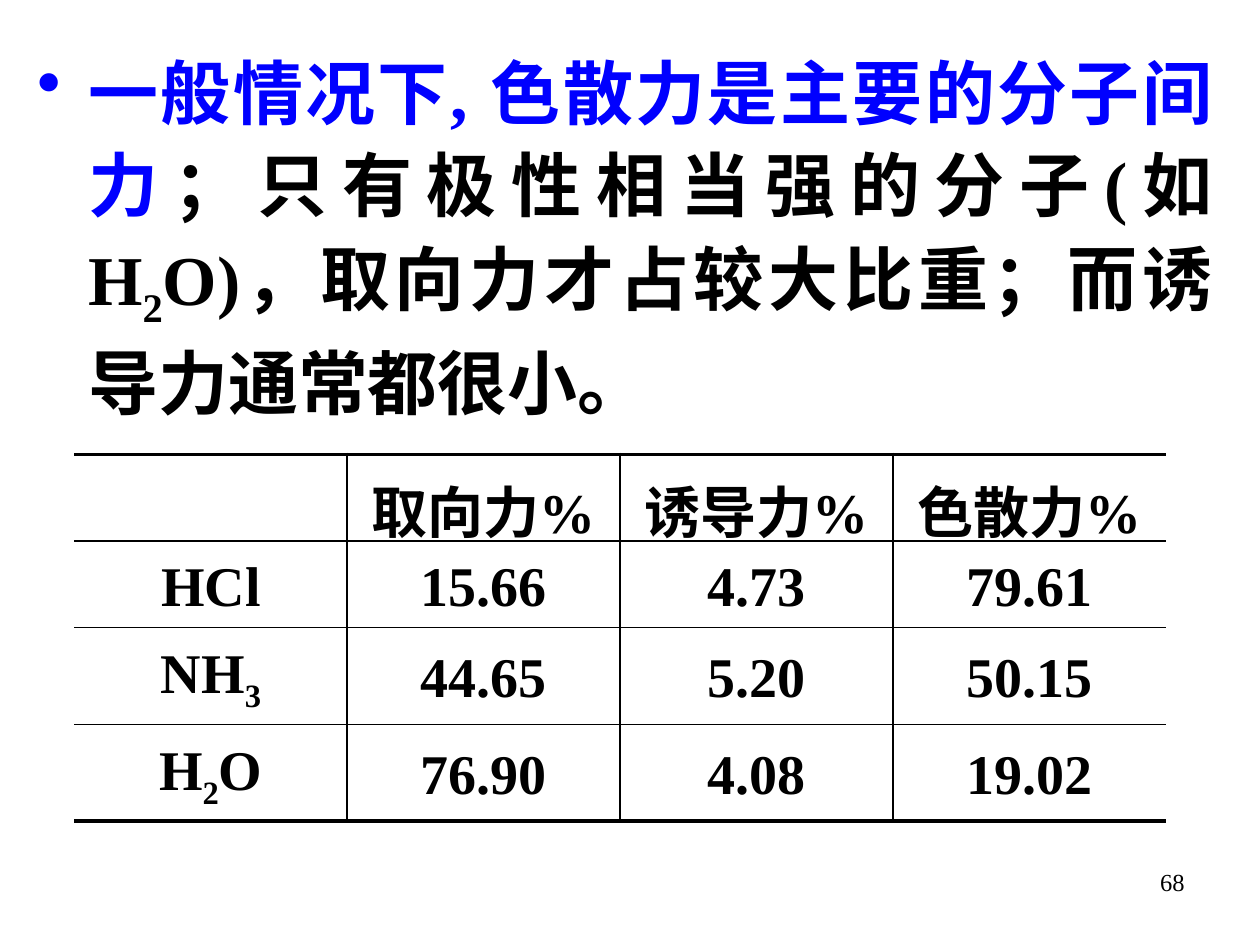
import pptx
import pptx.dml.color
import pptx.enum.text
import pptx.oxml
import pptx.oxml.ns
import pptx.util
from lxml import etree

Cm = pptx.util.Cm
Align = pptx.enum.text.PP_ALIGN
Anchor = pptx.enum.text.MSO_ANCHOR

THEME = {
    "font": "Times New Roman",
    "ink": "000000",
    "accent": "0000FF",
    "body": 40,
    "table": 32,
    "number": 14,
    "thin": 1,
    "thick": 2.25,
    "spacing": 1.1,
}

STATEMENT = [
    ("一般情况下, 色散力是主要的分子间力", "accent", False),
    ("；只有极性相当强的分子(如H", "ink", False),
    ("2", "ink", True),
    ("O)，取向力才占较大比重；而诱导力通常都很小。", "ink", False),
]
FORCES = [
    ["", "取向力%", "诱导力%", "色散力%"],
    ["HCl", "15.66", "4.73", "79.61"],
    ["NH_3", "44.65", "5.20", "50.15"],
    ["H_2O", "76.90", "4.08", "19.02"],
]
PAGE_NUMBER = "68"


def colour(name):
    return pptx.dml.color.RGBColor.from_string(THEME[name])


def style(para, size, align, bold=True):
    para.alignment = align
    para.font.name = THEME["font"]
    para.font.size = pptx.util.Pt(size)
    para.font.bold = bold


def add_span(para, text, tone, lowered=False):
    span = para.add_run()
    span.text = text
    span.font.color.rgb = colour(tone)
    if lowered:
        span._r.get_or_add_rPr().set("baseline", "-25000")


def add_formula(para, text):
    head, *tails = text.split("_")
    add_span(para, head, "ink")
    for tail in tails:
        add_span(para, tail[0], "ink", True)
        if tail[1:]:
            add_span(para, tail[1:], "ink")


def add_box(page, left, top, width, height):
    box = page.shapes.add_textbox(Cm(left), Cm(top), Cm(width), Cm(height))
    box.text_frame.word_wrap = True
    return box.text_frame.paragraphs[0]


def add_bullet(para, indent):
    properties = para._p.get_or_add_pPr()
    properties.set("marL", str(Cm(indent)))
    properties.set("indent", str(-Cm(indent)))
    bullet = etree.SubElement(properties, pptx.oxml.ns.qn("a:buChar"))
    bullet.set("char", "•")


def set_border(cell, side, width):
    tag = pptx.oxml.ns.qn
    line = etree.SubElement(cell._tc.get_or_add_tcPr(), tag("a:ln" + side))
    if not width:
        etree.SubElement(line, tag("a:noFill"))
        return
    line.set("w", str(pptx.util.Pt(width)))
    fill = etree.SubElement(line, tag("a:solidFill"))
    etree.SubElement(fill, tag("a:srgbClr")).set("val", THEME["ink"])


def add_statement(page):
    para = add_box(page, 0.5, 0.7, 24.2, 7.7)
    para.line_spacing = THEME["spacing"]
    add_bullet(para, 1.03)
    style(para, THEME["body"], Align.JUSTIFY)
    for text, tone, lowered in STATEMENT:
        add_span(para, text, tone, lowered)


def add_forces(page):
    last_row, last_column = len(FORCES) - 1, len(FORCES[0]) - 1
    frame = page.shapes.add_table(
        last_row + 1, last_column + 1, Cm(1.5), Cm(9.16), Cm(22), Cm(6.96)
    )
    table = frame.table
    table.first_row = table.horz_banding = False
    thin, thick = THEME["thin"], THEME["thick"]
    for row, values in enumerate(FORCES):
        for column, value in enumerate(values):
            cell = table.cell(row, column)
            set_border(cell, "L", thin if column else 0)
            set_border(cell, "R", thin if column < last_column else 0)
            set_border(cell, "T", thin if row else thick)
            set_border(cell, "B", thin if row < last_row else thick)
            cell.fill.background()
            cell.vertical_anchor = Anchor.MIDDLE
            if value:
                para = cell.text_frame.paragraphs[0]
                para.line_spacing = THEME["spacing"]
                style(para, THEME["table"], Align.CENTER)
                add_formula(para, value)


def add_page_number(page):
    para = add_box(page, 18.2, 17.35, 5.93, 1.32)
    style(para, THEME["number"], Align.RIGHT, False)
    add_span(para, PAGE_NUMBER, "ink")


def main():
    deck = pptx.Presentation()
    deck.slide_width, deck.slide_height = Cm(25.4), Cm(19.05)
    page = deck.slides.add_slide(deck.slide_layouts[6])
    add_page_number(page)
    add_statement(page)
    add_forces(page)
    deck.save("out.pptx")


if __name__ == "__main__":
    main()
